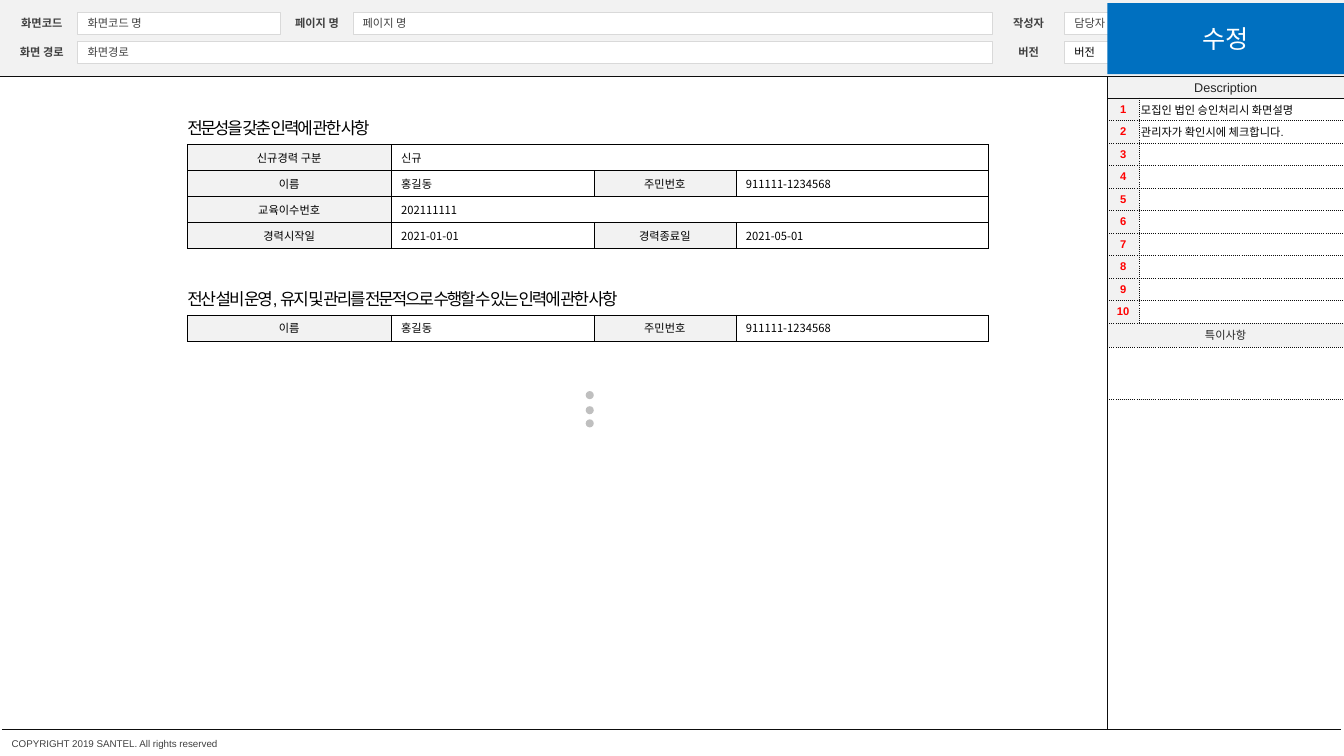
from dataclasses import dataclass

from lxml.etree import SubElement
from pptx import Presentation
from pptx.dml.color import RGBColor
from pptx.enum.dml import MSO_LINE_DASH_STYLE as Dash
from pptx.enum.shapes import MSO_CONNECTOR as Connector, MSO_SHAPE as Preset
from pptx.enum.text import MSO_ANCHOR as Anchor, MSO_AUTO_SIZE as AutoSize, PP_ALIGN as Align
from pptx.oxml import parse_xml
from pptx.oxml.ns import nsdecls, qn
from pptx.util import Emu, Inches, Pt

WIDTH, HEIGHT = Inches(13.33), Inches(7.5)


@dataclass(frozen=True)
class Theme:
    latin: str = "Arial"
    korean: str = "Noto Sans CJK KR"
    black: str = "000000"
    ink: str = "0D0D0D"
    dark: str = "262626"
    muted: str = "404040"
    panel: str = "F2F2F2"
    edge: str = "D9D9D9"
    dot: str = "BFBFBF"
    white: str = "FFFFFF"
    red: str = "FF0000"
    blue: str = "0070C0"
    tiny: float = 7
    small: float = 8
    caption: float = 9
    heading: float = 12
    banner: float = 18


THEME = Theme()

# Shares of the slide's width and height, in percent
FIELD_ROWS = (1.6, 5.4)
FIELD_HEIGHT = 2.95
LABEL_WIDTH = 5.33
SECTION_LEFT = 13.95
SECTION_COLUMNS = (15.15, 15.1, 10.55, 18.8)
SECTION_ROW = 3.44
SIDEBAR_LEFT = 82.4
SIDEBAR_COLUMNS = (2.35, 15.25)
NOTE_ROW = 2.98
HEADER_BOTTOM = 10.1
FOOTER_TOP = 96.4

FIELDS = (
    # label, value, left, row, width, value colour
    ("화면코드", "화면코드 명", 5.78, 0, 15.08, THEME.muted),
    ("화면 경로", "화면경로", 5.78, 1, 68.02, THEME.muted),
    ("페이지 명", "페이지 명", 26.25, 0, 47.55, THEME.muted),
    ("작성자", "담당자", 79.2, 0, 7.13, THEME.muted),
    ("버전", "버전", 79.2, 1, 7.13, THEME.black),
)
SECTIONS = (
    (14.93, "전문성을 갖춘 인력에 관한 사항", (
        ("신규경력 구분", "신규"),
        ("이름", "홍길동", "주민번호", "911111-1234568"),
        ("교육이수번호", "202111111"),
        ("경력시작일", "2021-01-01", "경력종료일", "2021-05-01"),
    )),
    (37.47, "전산 설비 운영, 유지 및 관리를 전문적으로 수행할 수 있는 인력에 관한 사항", (
        ("이름", "홍길동", "주민번호", "911111-1234568"),
    )),
)
NOTES = ("모집인 법인 승인처리시 화면설명", "관리자가 확인시에 체크합니다.") + ("",) * 8


def across(share):
    return Emu(round(WIDTH * share / 100))


def down(share):
    return Emu(round(HEIGHT * share / 100))


def area(left, top, width, height):
    return across(left), down(top), across(width), down(height)


def paint(shape, fill, edge=None):
    shape.fill.solid()
    shape.fill.fore_color.rgb = RGBColor.from_string(fill)
    if edge:
        shape.line.color.rgb = RGBColor.from_string(edge)
        shape.line.width = Pt(0.25)
    else:
        shape.line.fill.background()


def write(frame, text, size=THEME.small, color=THEME.black, align=Align.LEFT,
          bold=False, font=THEME.latin, inset=0, wrap=True, spacing=0):
    settings = {"word_wrap": wrap, "auto_size": AutoSize.NONE,
                "vertical_anchor": Anchor.MIDDLE, "margin_left": Inches(inset),
                "margin_right": 0, "margin_top": 0, "margin_bottom": 0}
    for name, value in settings.items():
        setattr(frame, name, value)
    paragraph = frame.paragraphs[0]
    paragraph.alignment = align
    run = paragraph.add_run()
    run.text = text
    for name, value in {"size": Pt(size), "bold": bold, "name": font}.items():
        setattr(run.font, name, value)
    run.font.color.rgb = RGBColor.from_string(color)
    properties = run._r.get_or_add_rPr()
    SubElement(properties, qn("a:ea"), typeface=THEME.korean)
    if spacing:
        properties.set("spc", str(round(spacing * 100)))


def add_box(shapes, bounds, fill, edge=None, preset=Preset.RECTANGLE):
    box = shapes.add_shape(preset, *bounds)
    box.shadow.inherit = False
    paint(box, fill, edge)
    return box


def add_label(shapes, bounds, text, **style):
    write(shapes.add_textbox(*bounds).text_frame, text, **style)


def add_rule(shapes, left, top, right, bottom):
    rule = shapes.add_connector(Connector.STRAIGHT, across(left), down(top),
                                across(right), down(bottom))
    rule.line.color.rgb = RGBColor.from_string(THEME.ink)
    rule.line.width = Pt(0.25)
    rule.line.dash_style = Dash.ROUND_DOT
    SubElement(rule._element.spPr, qn("a:effectLst"))


def add_field(shapes, label, value, left, row, width, color):
    top = FIELD_ROWS[row]
    add_label(shapes, area(left - LABEL_WIDTH, top, LABEL_WIDTH, FIELD_HEIGHT), label,
              color=THEME.muted, bold=True, align=Align.CENTER)
    box = add_box(shapes, area(left, top, width, FIELD_HEIGHT), THEME.white, THEME.edge,
                  Preset.ROUNDED_RECTANGLE)
    box.adjustments[0] = 0
    write(box.text_frame, value, color=color, inset=0.1)


def add_grid(shapes, left, top, columns, rows):
    """Add an unstyled table whose columns and rows are given as shares."""
    grid = shapes.add_table(len(rows), len(columns),
                            *area(left, top, sum(columns), sum(rows))).table
    grid.first_row = grid.horz_banding = False
    for column, share in zip(grid.columns, columns):
        column.width = across(share)
    for row, share in zip(grid.rows, rows):
        row.height = down(share)
    return grid


def border(grid, color, points, dash):
    for cell in grid.iter_cells():
        properties = cell._tc.get_or_add_tcPr()
        for place, side in enumerate("LRTB"):
            properties.insert(place, parse_xml(
                f'<a:ln{side} {nsdecls("a")} w="{Pt(points)}"><a:solidFill>'
                f'<a:srgbClr val="{color}"/></a:solidFill>'
                f'<a:prstDash val="{dash}"/></a:ln{side}>'))


def fill_cell(cell, text, fill, inset=0.02, **style):
    cell.fill.solid()
    cell.fill.fore_color.rgb = RGBColor.from_string(fill)
    for side in ("left", "right", "top", "bottom"):
        setattr(cell, f"margin_{side}", Inches(inset if side == "left" else 0.02))
    cell.vertical_anchor = Anchor.MIDDLE
    if text:
        write(CellText(cell), text, inset=inset, **style)
    else:
        end = cell.text_frame.paragraphs[0]._p.get_or_add_endParaRPr()
        end.set("sz", str(THEME.small * 100))


class CellText:
    """Lets write() fill a cell while the cell keeps its own margins."""

    def __init__(self, cell):
        self.paragraphs = cell.text_frame.paragraphs


def add_section(shapes, top, heading, rows):
    add_label(shapes, area(SECTION_LEFT - 0.75, top, 40.1, 4), heading,
              size=THEME.heading, inset=0.1, wrap=False, spacing=-1.5)
    grid = add_grid(shapes, SECTION_LEFT, top + 4.2, SECTION_COLUMNS, [SECTION_ROW] * len(rows))
    for r, entries in enumerate(rows):
        for c, text in enumerate(entries):
            if c % 2:
                fill_cell(grid.cell(r, c), text, THEME.white, inset=0.1, font=THEME.korean)
            else:
                fill_cell(grid.cell(r, c), text, THEME.panel, align=Align.CENTER)
        if len(entries) == 2:
            grid.cell(r, 1).merge(grid.cell(r, 3))
    border(grid, THEME.black, 0.25, "solid")


def add_sidebar(shapes):
    caption = add_box(shapes, area(SIDEBAR_LEFT, HEADER_BOTTOM, 17.6, 2.9), THEME.panel)
    write(caption.text_frame, "Description", size=THEME.caption, color=THEME.dark,
          align=Align.CENTER, wrap=False)
    grid = add_grid(shapes, SIDEBAR_LEFT, 12.95, SIDEBAR_COLUMNS,
                    [NOTE_ROW] * len(NOTES) + [3.2, 6.85])
    for r, note in enumerate(NOTES):
        fill_cell(grid.cell(r, 0), str(r + 1), THEME.panel, color=THEME.red, bold=True,
                  align=Align.CENTER)
        fill_cell(grid.cell(r, 1), note, THEME.white)
    remarks = ("특이사항", THEME.panel), ("", THEME.white)
    for r, (text, fill) in enumerate(remarks, len(NOTES)):
        grid.cell(r, 0).merge(grid.cell(r, 1))
        fill_cell(grid.cell(r, 0), text, fill, color=THEME.dark, align=Align.CENTER)
    border(grid, THEME.ink, 0.5, "sysDot")
    add_rule(shapes, SIDEBAR_LEFT, 12.95, 100, 12.95)
    add_rule(shapes, SIDEBAR_LEFT, HEADER_BOTTOM, SIDEBAR_LEFT, FOOTER_TOP)


def add_more_dots(shapes):
    dots = shapes.add_group_shape().shapes
    for top in (51.73, 53.73, 55.47):
        add_box(dots, (across(43.58), down(top), Inches(0.08), Inches(0.08)), THEME.dot,
                preset=Preset.OVAL)


def place_banner(shapes):
    """Set the slide title as the banner in front of the header."""
    banner = shapes.title
    bounds = area(SIDEBAR_LEFT, 0.4, 17.6, 9.4)
    for name, value in zip(("left", "top", "width", "height"), bounds):
        setattr(banner, name, value)
    paint(banner, THEME.blue)
    write(banner.text_frame, "수정", size=THEME.banner, color=THEME.white,
          align=Align.CENTER, font=THEME.korean)
    shapes._spTree.append(banner._element)


def main():
    deck = Presentation()
    deck.slide_width, deck.slide_height = WIDTH, HEIGHT
    shapes = deck.slides.add_slide(deck.slide_layouts[5]).shapes
    add_box(shapes, area(0, 0, 100, HEADER_BOTTOM), THEME.panel)
    for field in FIELDS:
        add_field(shapes, *field)
    for section in SECTIONS:
        add_section(shapes, *section)
    add_more_dots(shapes)
    add_sidebar(shapes)
    add_rule(shapes, 0, HEADER_BOTTOM, 100, HEADER_BOTTOM)
    add_rule(shapes, 0.15, FOOTER_TOP, 99.7, FOOTER_TOP)
    add_label(shapes, area(0.87, 97.6, 27.4, 1.6), "COPYRIGHT 2019 SANTEL. All rights reserved",
              size=THEME.tiny, color=THEME.muted)
    place_banner(shapes)
    deck.save("out.pptx")


if __name__ == "__main__":
    main()
